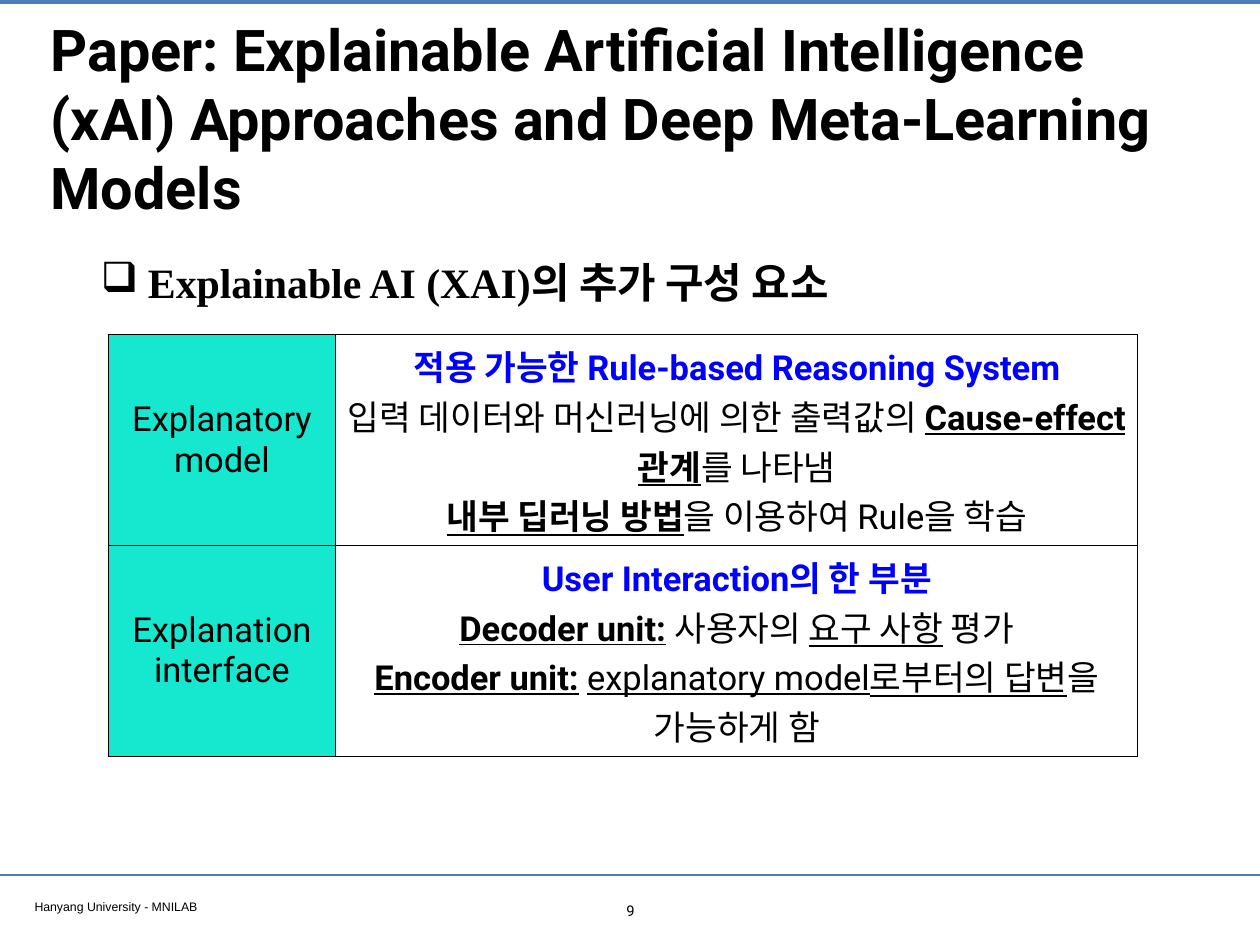
from lxml.etree import SubElement
from pptx import Presentation
from pptx.dml.color import RGBColor
from pptx.enum.shapes import MSO_CONNECTOR as CONN
from pptx.enum.text import MSO_ANCHOR as ANCHOR, PP_ALIGN as ALIGN
from pptx.oxml.ns import qn
from pptx.util import Inches, Pt

COLORS = {"rule": "4A7EBB", "text": "000000", "accent": "0000FF", "label": "16E7CF"}

BOLD = {"bold": True}
BLUE = {"bold": True, "color": "accent"}
KEY = {"bold": True, "underline": True}
LINE = {"underline": True}

COMPONENTS = [
    ("Explanatory model", [
        [("적용 가능한 Rule-based Reasoning System", BLUE)],
        [("입력 데이터와 머신러닝에 의한 출력값의 ", {}), ("Cause-effect 관계", KEY),
         ("를 나타냄", {})],
        [("내부 딥러닝 방법", KEY), ("을 이용하여 Rule을 학습", {})],
    ]),
    ("Explanation interface", [
        [("User Interaction의 한 부분", BLUE)],
        [("Decoder unit:", KEY), (" 사용자의 ", {}), ("요구 사항", LINE), (" 평가", {})],
        [("Encoder unit:", KEY), (" ", {}), ("explanatory model로부터의 답변", LINE),
         ("을 가능하게 함", {})],
    ]),
]


def rgb(name):
    return RGBColor.from_string(COLORS[name])


def add_run(p, text, size=28, font="Roboto", color="text", bold=False, underline=False):
    r = p.add_run()
    r.text = text
    r.font.size = Pt(size)
    r.font.name = font
    r.font.bold = bold
    r.font.underline = underline
    r.font.color.rgb = rgb(color)


def add_text(slide, text, box, align=ALIGN.LEFT, anchor=ANCHOR.TOP, **fmt):
    tf = slide.shapes.add_textbox(*map(Inches, box)).text_frame
    tf.word_wrap = True
    tf.vertical_anchor = anchor
    tf.margin_left = tf.margin_right = tf.margin_top = tf.margin_bottom = Inches(0.06)
    p = tf.paragraphs[0]
    p.alignment = align
    add_run(p, text, **fmt)
    return p


def add_rule(slide, y, width, weight):
    line = slide.shapes.add_connector(CONN.STRAIGHT, 0, Inches(y), Inches(width), Inches(y))
    line.line.color.rgb = rgb("rule")
    line.line.width = Pt(weight)
    SubElement(line._element.spPr, qn("a:effectLst"))


def add_header(slide, box):
    x, y, w, h = box
    add_rule(slide, y + 0.02, w, 3.2)
    add_text(slide, "Paper: Explainable Artificial Intelligence (xAI) Approaches "
             "and Deep Meta-Learning Models", (x + 0.51, y + 0.28, 13.21, h - 0.28),
             anchor=ANCHOR.MIDDLE, size=46.8, bold=True)


def add_heading(slide, box):
    p = add_text(slide, "Explainable AI (XAI)의 추가 구성 요소", box,
                 size=34, font="Times New Roman", bold=True)
    p.line_spacing = 1.2
    pPr = p._p.get_or_add_pPr()
    pPr.set("marL", str(Inches(0.53)))
    pPr.set("indent", str(-Inches(0.53)))
    SubElement(pPr, qn("a:buChar"), char="❑")


def style_cell(cell, fill=None):
    cell.vertical_anchor = ANCHOR.MIDDLE
    tcPr = cell._tc.get_or_add_tcPr()
    for side in ("lnL", "lnR", "lnT", "lnB"):
        ln = SubElement(tcPr, qn("a:" + side), w=str(Pt(1)))
        paint = SubElement(ln, qn("a:solidFill"))
        SubElement(paint, qn("a:srgbClr"), val=COLORS["text"])
    if fill:
        cell.fill.solid()
        cell.fill.fore_color.rgb = rgb(fill)
    else:
        cell.fill.background()


def fill_cell(cell, lines, fill=None):
    style_cell(cell, fill)
    tf = cell.text_frame
    for i, runs in enumerate(lines):
        p = tf.add_paragraph() if i else tf.paragraphs[0]
        p.alignment = ALIGN.CENTER
        for text, fmt in runs:
            add_run(p, text, **fmt)


def add_components(slide, box):
    x, y, w, h = box
    frame = slide.shapes.add_table(len(COMPONENTS), 2, *map(Inches, box))
    table = frame.table
    table.first_row = table.horz_banding = False
    label_w = 2.57
    table.columns[0].width = Inches(label_w)
    table.columns[1].width = Inches(w - label_w)
    for i, (label, lines) in enumerate(COMPONENTS):
        table.rows[i].height = Inches(h / len(COMPONENTS))
        fill_cell(table.cell(i, 0), [[(label, {})]], "label")
        fill_cell(table.cell(i, 1), lines)


def add_footer(slide, box):
    x, y, w, h = box
    add_rule(slide, y, w, 2)
    add_text(slide, "Hanyang University - MNILAB", (x + 0.33, y + 0.21, 5.46, 0.26),
             size=10, font="Arial")
    add_text(slide, "9", (x + 6.92, y + 0.24, 0.39, 0.31), align=ALIGN.CENTER, size=12)


def main():
    prs = Presentation()
    prs.slide_width, prs.slide_height = Inches(14.22), Inches(10.67)
    slide = prs.slides.add_slide(prs.slide_layouts[6])
    add_header(slide, (0, 0, 14.22, 2.37))
    add_heading(slide, (1.08, 2.73, 12.28, 0.95))
    add_components(slide, (1.22, 3.78, 11.62, 4.76))
    add_footer(slide, (0, 9.88, 14.22, 0.79))
    prs.save("out.pptx")


if __name__ == "__main__":
    main()
